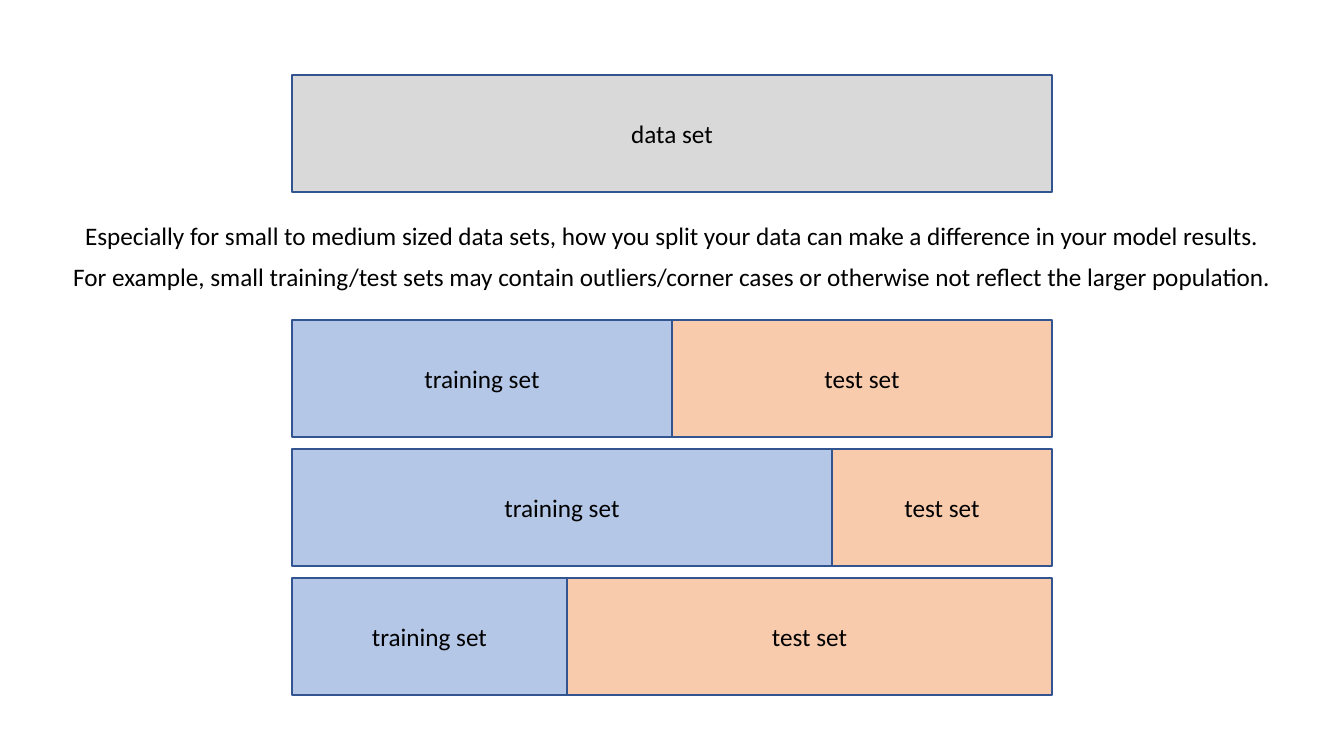
from pptx import Presentation
from pptx.dml.color import RGBColor
from pptx.enum.shapes import MSO_SHAPE
from pptx.enum.text import MSO_ANCHOR, MSO_AUTO_SIZE, PP_ALIGN
from pptx.util import Pt

RECTANGLE = MSO_SHAPE.RECTANGLE
MIDDLE = MSO_ANCHOR.MIDDLE
CENTER = PP_ALIGN.CENTER
FIT_SHAPE = MSO_AUTO_SIZE.SHAPE_TO_FIT_TEXT

EMU_PER_PX = 914400 / 100.8
SLIDE_WIDTH, SLIDE_HEIGHT = 1344, 756
BLANK_LAYOUT = 6

GREY, BLUE, ORANGE = "D9D9D9", "B4C7E7", "F8CBAD"
OUTLINE, BLACK = "325491", "000000"

BAR_LEFT, BAR_WIDTH, BAR_HEIGHT = 292, 760, 117
DATA_TOP = 75
SPLITS_TOP, SPLIT_PITCH = 320, 129
TRAINING_WIDTHS = [380, 540, 275]

# Each remark with the width of its box
REMARKS_TOP, REMARK_PITCH, REMARK_HEIGHT = 215, 41, 40
REMARKS = [
    ("Especially for small to medium sized data sets, how you split your data "
     "can make a difference in your model results.", 1208),
    ("For example, small training/test sets may contain outliers/corner cases "
     "or otherwise not reflect the larger population.", 1232),
]


def px(length):
    return round(length * EMU_PER_PX)


def color(hex_string):
    return RGBColor.from_string(hex_string)


def set_text(shape, text):
    shape.text_frame.text = text
    paragraph = shape.text_frame.paragraphs[0]
    paragraph.alignment = CENTER
    font = paragraph.runs[0].font
    font.name = "Calibri"
    font.size = Pt(18)
    font.color.rgb = color(BLACK)


def add_block(slide, left, top, width, height, text, fill):
    shape = slide.shapes.add_shape(RECTANGLE, px(left), px(top), px(width), px(height))
    shape.shadow.inherit = False
    shape.fill.solid()
    shape.fill.fore_color.rgb = color(fill)
    shape.line.color.rgb = color(OUTLINE)
    shape.line.width = Pt(1)
    shape.text_frame.vertical_anchor = MIDDLE
    set_text(shape, text)


def add_split(slide, left, top, width, height, training_width):
    add_block(slide, left, top, training_width, height, "training set", BLUE)
    add_block(slide, left + training_width, top, width - training_width, height,
              "test set", ORANGE)


def add_remarks(slide, left, top, width):
    for index, (text, text_width) in enumerate(REMARKS):
        box = slide.shapes.add_textbox(
            px(left + (width - text_width) / 2), px(top + index * REMARK_PITCH),
            px(text_width), px(REMARK_HEIGHT))
        box.text_frame.word_wrap = False
        box.text_frame.auto_size = FIT_SHAPE
        set_text(box, text)


def main():
    presentation = Presentation()
    presentation.slide_width = px(SLIDE_WIDTH)
    presentation.slide_height = px(SLIDE_HEIGHT)
    slide = presentation.slides.add_slide(presentation.slide_layouts[BLANK_LAYOUT])

    # Whole data set
    add_block(slide, BAR_LEFT, DATA_TOP, BAR_WIDTH, BAR_HEIGHT, "data set", GREY)

    # Alternative training/test splits
    for index, training_width in enumerate(TRAINING_WIDTHS):
        add_split(slide, BAR_LEFT, SPLITS_TOP + index * SPLIT_PITCH,
                  BAR_WIDTH, BAR_HEIGHT, training_width)

    # Remarks between the data set and its splits
    add_remarks(slide, 0, REMARKS_TOP, SLIDE_WIDTH)

    presentation.save("out.pptx")


if __name__ == "__main__":
    main()
